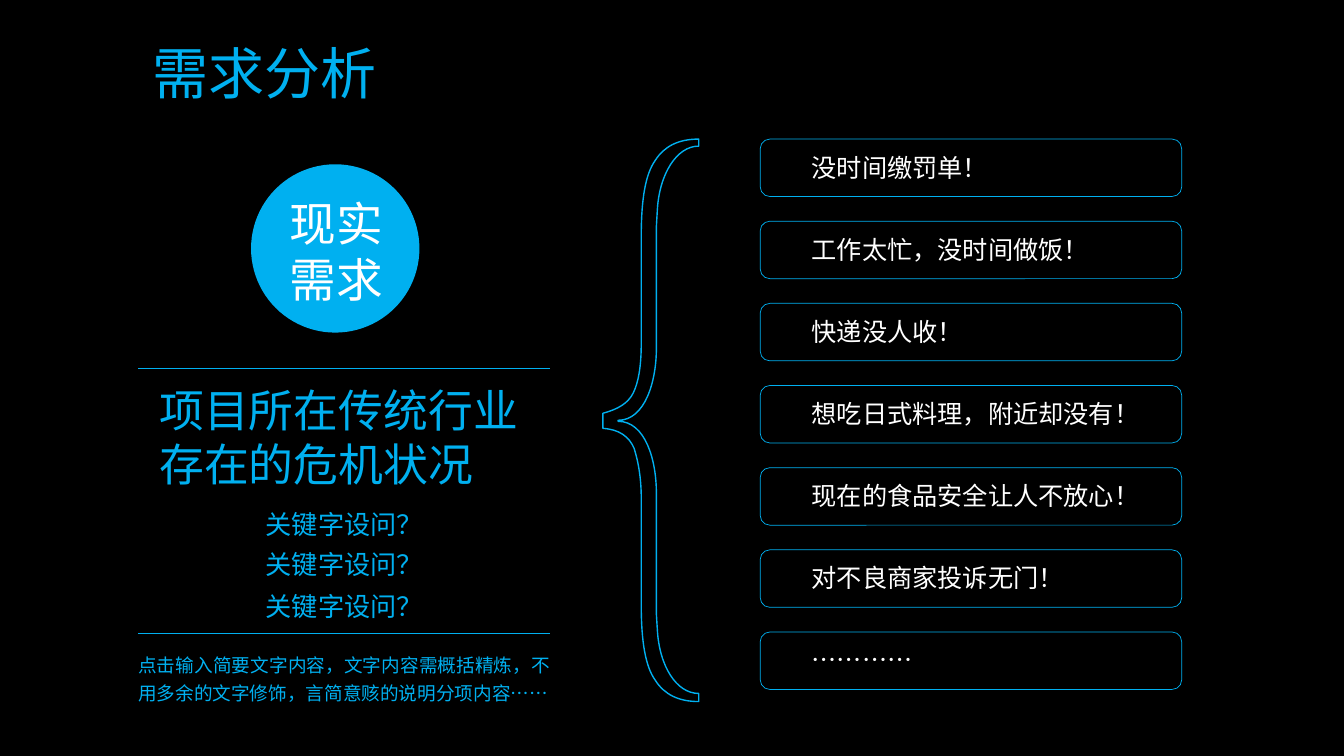
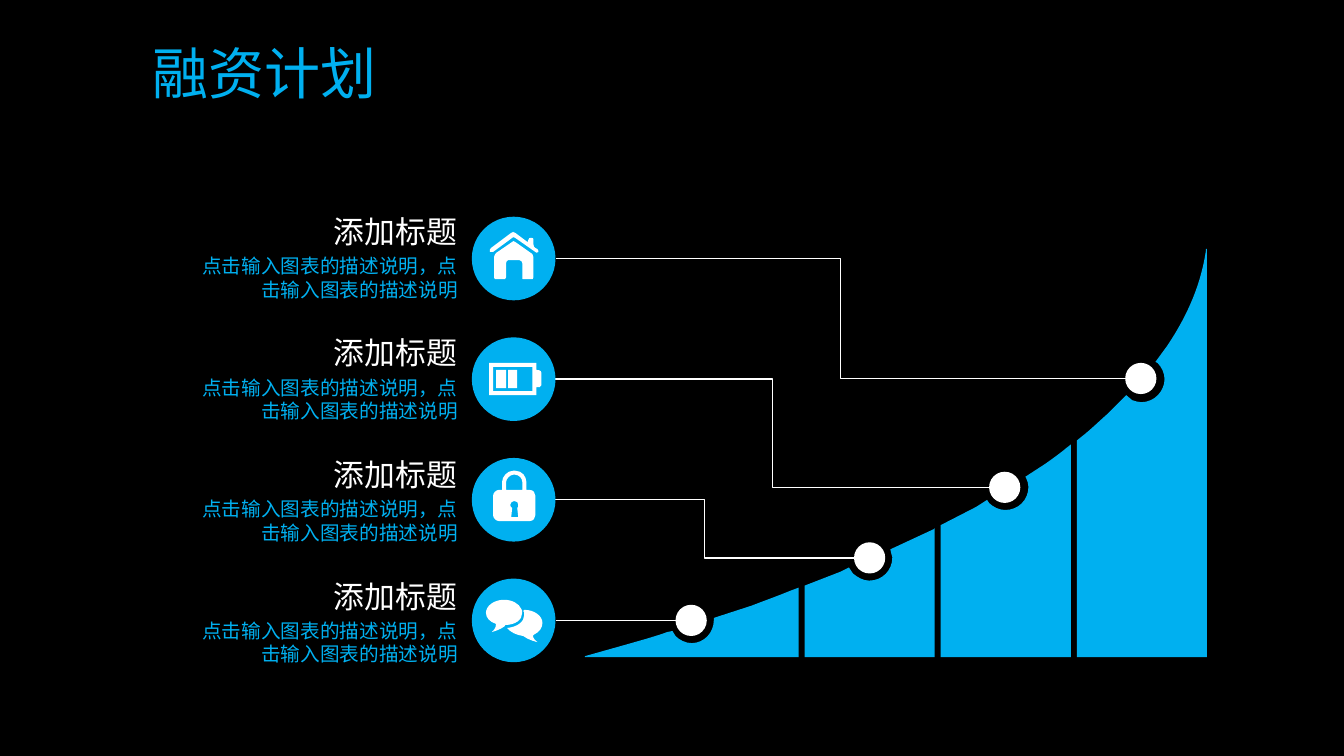
import dataclasses

import lxml.etree
import pptx
import pptx.dml.color
import pptx.enum.shapes
import pptx.enum.text
import pptx.oxml.ns
import pptx.util

Inches = pptx.util.Inches
Shape = pptx.enum.shapes.MSO_SHAPE
Connector = pptx.enum.shapes.MSO_CONNECTOR
Align = pptx.enum.text.PP_ALIGN
qn = pptx.oxml.ns.qn


@dataclasses.dataclass(frozen=True)
class Theme:
    """Colours, font and type sizes shared by the slides."""
    back: str = "000000"
    accent: str = "00B0F0"
    white: str = "FFFFFF"
    font: str = "Noto Sans CJK SC"
    title: float = 40
    badge: float = 33.3
    headline: float = 32
    label: float = 22
    keyword: float = 18.7
    item: float = 18
    caption: float = 14
    note: float = 13.3


THEME = Theme()
NUMBERS = {"M": 2, "L": 2, "C": 6}

NEEDS = ["没时间缴罚单！", "工作太忙，没时间做饭！", "快递没人收！", "想吃日式料理，附近却没有！",
         "现在的食品安全让人不放心！", "对不良商家投诉无门！", "…………"]

BRACE = """M 6.93 1.38 L 6.93 1.45 C 6.71 1.45 6.54 1.73 6.52 2.08 L 6.51 2.25 6.51 3.46
C 6.51 3.78 6.4 4.17 6.13 4.17 L 6.13 4.18 C 6.4 4.18 6.51 4.56 6.51 4.89
L 6.51 6.09 6.52 6.25 C 6.54 6.61 6.71 6.88 6.93 6.88 L 6.93 6.96
C 6.73 6.96 6.59 6.89 6.5 6.75 6.4 6.61 6.36 6.36 6.36 6 L 6.36 4.94
C 6.36 4.74 6.33 4.58 6.29 4.45 6.24 4.33 6.14 4.26 5.98 4.25 L 5.98 4.1
C 6.13 4.06 6.23 4 6.28 3.9 6.33 3.8 6.36 3.64 6.36 3.41 L 6.36 2.35
C 6.36 1.98 6.4 1.73 6.5 1.59 6.59 1.45 6.73 1.38 6.93 1.38"""

HOUSE = """M 5.11 2.4 C 5.1 2.39 5.08 2.39 5.08 2.4 L 4.92 2.51
C 4.91 2.52 4.9 2.54 4.9 2.55 L 4.9 2.75 C 4.9 2.77 4.91 2.77 4.92 2.77 L 5 2.77
C 5 2.77 5.02 2.77 5.02 2.75 L 5.02 2.61 C 5.02 2.6 5.03 2.58 5.04 2.58 L 5.15 2.58
C 5.17 2.58 5.18 2.6 5.18 2.61 L 5.18 2.75 C 5.18 2.77 5.18 2.77 5.2 2.77 L 5.27 2.77
C 5.28 2.77 5.29 2.77 5.29 2.75 L 5.29 2.55 C 5.29 2.54 5.28 2.53 5.28 2.52"""

ROOF = """M 5.31 2.46 C 5.3 2.46 5.29 2.44 5.29 2.42 L 5.29 2.38
C 5.29 2.36 5.29 2.36 5.27 2.36 L 5.26 2.36 C 5.26 2.36 5.24 2.36 5.24 2.38
C 5.24 2.4 5.23 2.41 5.23 2.4 L 5.11 2.31 C 5.1 2.31 5.09 2.3 5.09 2.3
C 5.09 2.3 5.08 2.31 5.07 2.31 L 4.87 2.46 C 4.86 2.47 4.85 2.49 4.86 2.5
C 4.87 2.5 4.87 2.5 4.89 2.5 L 5.08 2.36 C 5.08 2.35 5.1 2.35 5.11 2.36 L 5.31 2.5
C 5.31 2.51 5.33 2.51 5.34 2.5 5.34 2.5 5.34 2.48 5.33 2.47"""

BATTERY = """M 5.32 3.67 L 5.32 3.6 4.85 3.6 4.85 3.92 5.32 3.92 5.32 3.84
C 5.34 3.84 5.37 3.85 5.37 3.82 L 5.37 3.7 C 5.37 3.67 5.33 3.67 5.32 3.67
M 5.28 3.88 L 4.89 3.88 4.89 3.64 5.28 3.64"""

CELLS = [(4.92, 3.67, 0.1, 0.18), (5.04, 3.67, 0.09, 0.18)]

LOCK = """M 5.25 4.86 L 5.22 4.86 5.22 4.78 C 5.22 4.73 5.18 4.67 5.11 4.67 L 5.09 4.67
C 5.03 4.67 4.98 4.73 4.98 4.78 L 4.98 4.86 4.95 4.86 C 4.92 4.86 4.89 4.89 4.89 4.92
L 4.89 5.11 C 4.89 5.14 4.92 5.17 4.95 5.17 L 5.25 5.17
C 5.29 5.17 5.31 5.14 5.31 5.11 L 5.31 4.92 C 5.31 4.89 5.29 4.86 5.25 4.86
M 5.14 5.13 L 5.07 5.13 5.08 5.04 C 5.07 5.04 5.06 5.02 5.06 5.01
C 5.06 4.99 5.08 4.97 5.1 4.97 5.13 4.97 5.14 4.99 5.14 5.01 5.14 5.02 5.14 5.04 5.13 5.04
M 5.18 4.86 L 5.02 4.86 5.02 4.78 C 5.02 4.75 5.06 4.71 5.09 4.71 L 5.11 4.71
C 5.15 4.71 5.18 4.75 5.18 4.78"""

BUBBLES = ["""M 5.38 6.18 C 5.38 6.11 5.3 6.05 5.2 6.05 L 5.19 6.06
C 5.2 6.07 5.2 6.08 5.2 6.1 5.2 6.17 5.13 6.22 5.03 6.23
C 5.06 6.27 5.12 6.3 5.19 6.31 5.24 6.35 5.33 6.37 5.33 6.37
C 5.29 6.34 5.28 6.31 5.29 6.3 5.35 6.27 5.38 6.23 5.38 6.18""",
           """M 5.17 6.04 C 5.15 5.99 5.08 5.95 5 5.95 4.9 5.95 4.82 6.01 4.82 6.08
C 4.82 6.13 4.86 6.17 4.92 6.19 4.92 6.21 4.92 6.23 4.88 6.27
C 4.88 6.27 4.96 6.25 5.01 6.21 L 5.01 6.2 C 5.11 6.2 5.18 6.15 5.18 6.08
C 5.18 6.06 5.18 6.05 5.17 6.04"""]

STAGES = ["""M 11.96 2.47 L 11.97 2.47 11.97 6.52 10.68 6.52 10.68 4.37 10.73 4.33
C 10.82 4.26 10.9 4.18 10.98 4.11 L 11.17 3.92 11.23 3.97
C 11.26 3.98 11.29 3.99 11.32 3.99 11.45 3.99 11.55 3.88 11.55 3.76
C 11.55 3.7 11.52 3.64 11.48 3.6 L 11.46 3.59 11.57 3.44
C 11.78 3.13 11.91 2.82 11.96 2.49""",
          """M 10.62 4.41 L 10.62 6.52 9.33 6.52 9.33 5.21 9.68 5.03 9.79 4.96 9.81 4.99
C 9.85 5.03 9.91 5.06 9.97 5.06 10.1 5.06 10.2 4.96 10.2 4.83
C 10.2 4.8 10.19 4.77 10.18 4.75 L 10.17 4.73 10.37 4.6
C 10.44 4.55 10.51 4.5 10.57 4.45""",
          """M 9.27 5.24 L 9.27 6.52 7.98 6.52 7.98 5.81 8.34 5.67 8.42 5.63 8.46 5.69
C 8.51 5.73 8.56 5.76 8.62 5.76 8.75 5.76 8.85 5.66 8.85 5.53
C 8.85 5.52 8.84 5.5 8.84 5.49 L 8.83 5.45 9.26 5.25""",
          """M 7.92 5.83 L 7.92 6.52 5.8 6.52 5.8 6.51 6.19 6.4
C 6.33 6.36 6.48 6.32 6.62 6.27 L 6.67 6.26 6.7 6.31
C 6.74 6.35 6.8 6.38 6.86 6.38 6.98 6.38 7.08 6.28 7.08 6.15 L 7.08 6.13 7.45 6.01
C 7.58 5.96 7.72 5.91 7.84 5.86"""]

ICONS = [[HOUSE, ROOF], [BATTERY], [LOCK], BUBBLES]
DOTS = [(11.16, 3.6), (9.81, 4.68), (8.47, 5.38), (6.7, 6)]


def rgb(color):
    """Turn a hex string into a colour."""
    return pptx.dml.color.RGBColor.from_string(color)


def spread(first, last, count):
    """List evenly spaced positions."""
    return [first + i * (last - first) / (count - 1) for i in range(count)]


def put_text(sp, text, size, color=THEME.accent, align=Align.LEFT,
             margins=(0, 0, 0, 0), wrap=True, spacing=None):
    """Write formatted text, one paragraph a line, into a shape."""
    tf = sp.text_frame
    tf.auto_size = pptx.enum.text.MSO_AUTO_SIZE.NONE
    tf.word_wrap = wrap
    tf.vertical_anchor = pptx.enum.text.MSO_ANCHOR.TOP
    tf.margin_left, tf.margin_top, tf.margin_right, tf.margin_bottom = map(Inches, margins)
    for i, line in enumerate(text.split("\n")):
        p = tf.add_paragraph() if i else tf.paragraphs[0]
        p.alignment = align
        if spacing:
            p.line_spacing = pptx.util.Pt(spacing)
        r = p.add_run()
        r.text = line
        r.font.name = THEME.font
        r.font.size = pptx.util.Pt(size)
        r.font.color.rgb = rgb(color)
        ea = lxml.etree.SubElement(r.font._element, qn("a:ea"))
        ea.set("typeface", THEME.font)


def add_text(s, box, text, size, **fmt):
    """Add a text box."""
    put_text(s.shapes.add_textbox(*map(Inches, box)), text, size, **fmt)


def paint(sp, fill=None, line=None, width=1):
    """Set the fill and outline of a shape, without shadow."""
    sp.shadow.inherit = False
    if fill:
        sp.fill.solid()
        sp.fill.fore_color.rgb = rgb(fill)
    else:
        sp.fill.background()
    if line:
        sp.line.color.rgb = rgb(line)
        sp.line.width = pptx.util.Pt(width)
    else:
        sp.line.fill.background()


def add_shape(s, kind, box, **look):
    """Add a painted preset shape."""
    paint(s.shapes.add_shape(kind, *map(Inches, box)), **look)


def add_line(s, kind, start, end, color, width):
    """Add a connector between two points."""
    sp = s.shapes.add_connector(kind, *map(Inches, start + end))
    sp.line.color.rgb = rgb(color)
    sp.line.width = pptx.util.Pt(width)
    lxml.etree.SubElement(sp._element.spPr, qn("a:effectLst"))


def read_outline(outline):
    """List the commands of an outline with their points."""
    steps, command, numbers = [], "", []
    for token in outline.split():
        if token.isalpha():
            command = token
            continue
        numbers.append(Inches(float(token)))
        if len(numbers) == NUMBERS[command]:
            steps.append((command, list(zip(numbers[::2], numbers[1::2]))))
            numbers = []
    return steps


def bend(lines):
    """Merge three line elements into one cubic curve."""
    curve = lines[0]
    curve.tag = qn("a:cubicBezTo")
    for line in lines[1:]:
        curve.append(line[0])
        line.getparent().remove(line)


def add_outline(s, outline, **look):
    """Add a painted freeform with lines and curves."""
    steps = read_outline(outline)
    builder = s.shapes.build_freeform(*steps[0][1][0])
    for i, (command, points) in enumerate(steps[1:], 1):
        if command == "M":
            builder.move_to(*points[0])
        else:
            closes = i + 1 == len(steps) or steps[i + 1][0] == "M"
            builder.add_line_segments(points, close=closes)
    sp = builder.convert_to_shape()
    lines = iter(list(sp._element.iter(qn("a:lnTo"))))
    for command, points in steps:
        if command == "L":
            next(lines)
        elif command == "C":
            bend([next(lines) for _ in points])
    paint(sp, **look)


def add_slide(prs, title):
    """Add a slide with its title."""
    s = prs.slides.add_slide(prs.slide_layouts[5])
    sp = s.shapes.title
    sp.left, sp.top, sp.width, sp.height = map(Inches, (1.51, 0.38, 3.83, 0.67))
    put_text(sp, title, THEME.title)
    return s


def build_needs(prs):
    """Build the slide on needs."""
    s = add_slide(prs, "需求分析")
    for y in (3.65, 6.28):
        add_line(s, Connector.STRAIGHT, (1.37, y), (5.46, y), THEME.accent, 0.5)
    add_text(s, (1.58, 3.8, 3.67, 1.08), "项目所在传统行业存在的危机状况", THEME.headline)
    for y in (5.04, 5.44, 5.86):
        add_text(s, (2.26, y, 2.31, 0.31), "关键字设问？", THEME.keyword, align=Align.CENTER)
    add_text(s, (1.37, 6.43, 4.09, 0.54),
             "点击输入简要文字内容，文字内容需概括精炼，不用多余的文字修饰，言简意赅的说明分项内容……",
             THEME.note, align=Align.JUSTIFY, spacing=20)
    add_outline(s, BRACE, line=THEME.accent)
    count = len(NEEDS)
    for need, top, y in zip(NEEDS, spread(1.38, 6.27, count), spread(1.51, 6.39, count)):
        add_shape(s, Shape.ROUNDED_RECTANGLE, (7.54, top, 4.18, 0.57),
                  line=THEME.accent, width=0.5)
        add_text(s, (8.05, y, 3.67, 0.3), need, THEME.item, color=THEME.white,
                 align=Align.JUSTIFY)
    add_shape(s, Shape.OVAL, (2.49, 1.63, 1.67, 1.67), fill=THEME.accent)
    add_text(s, (2.42, 1.93, 1.83, 1.12), "现实\n需求", THEME.badge, color=THEME.white,
             align=Align.CENTER)


def build_funding(prs):
    """Build the slide on funding."""
    s = add_slide(prs, "融资计划")
    disc, dot, inset = 0.83, 0.31, (0.1, 0.05, 0.1, 0.05)
    tops = spread(2.15, 5.74, len(DOTS))
    for icon, (x, y), top in zip(ICONS, DOTS, tops):
        kind = Connector.STRAIGHT if icon is BUBBLES else Connector.ELBOW
        add_line(s, kind, (4.68 + disc, top + disc / 2), (x, y + dot / 2), THEME.white, 1)
        add_shape(s, Shape.OVAL, (4.68, top, disc, disc), fill=THEME.accent)
        for outline in icon:
            add_outline(s, outline, fill=THEME.white)
    for box in CELLS:
        add_shape(s, Shape.RECTANGLE, box, fill=THEME.white)
    for stage in STAGES:
        add_outline(s, stage, fill=THEME.accent)
    for x, y in DOTS:
        add_shape(s, Shape.OVAL, (x, y, dot, dot), fill=THEME.white)
    for top in spread(2.06, 5.68, len(DOTS)):
        add_text(s, (3.19, top, 1.44, 0.47), "添加标题", THEME.label, color=THEME.white,
                 align=Align.RIGHT, margins=inset, wrap=False)
        add_text(s, (1.84, top + 0.41, 2.8, 0.57), "点击输入图表的描述说明，点击输入图表的描述说明",
                 THEME.caption, align=Align.RIGHT, margins=inset)


def main():
    """Build and save the presentation."""
    prs = pptx.Presentation()
    prs.slide_width, prs.slide_height = Inches(13.33), Inches(7.5)
    back = prs.slide_master.background.fill
    back.solid()
    back.fore_color.rgb = rgb(THEME.back)
    build_needs(prs)
    build_funding(prs)
    prs.save("out.pptx")


if __name__ == "__main__":
    main()
